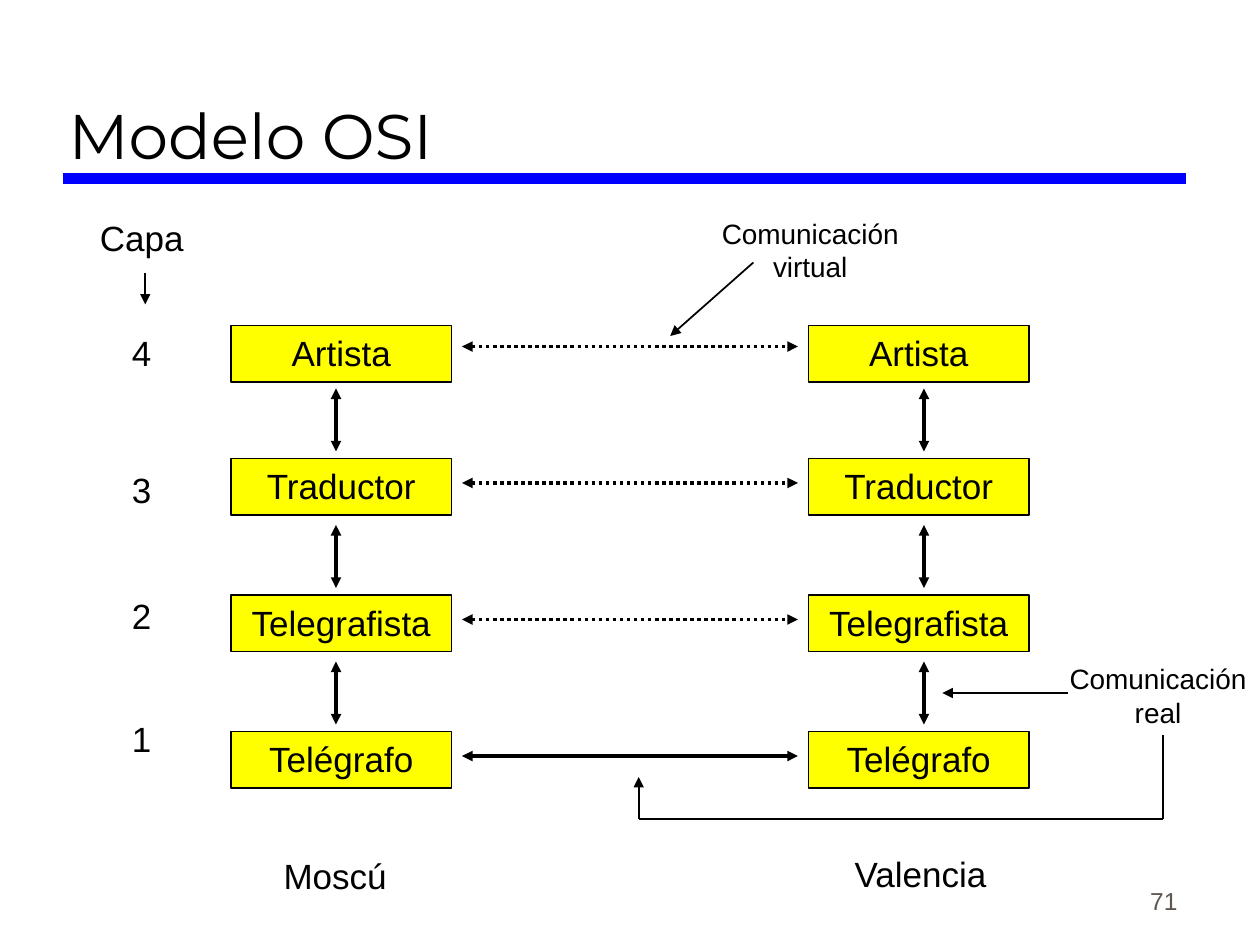
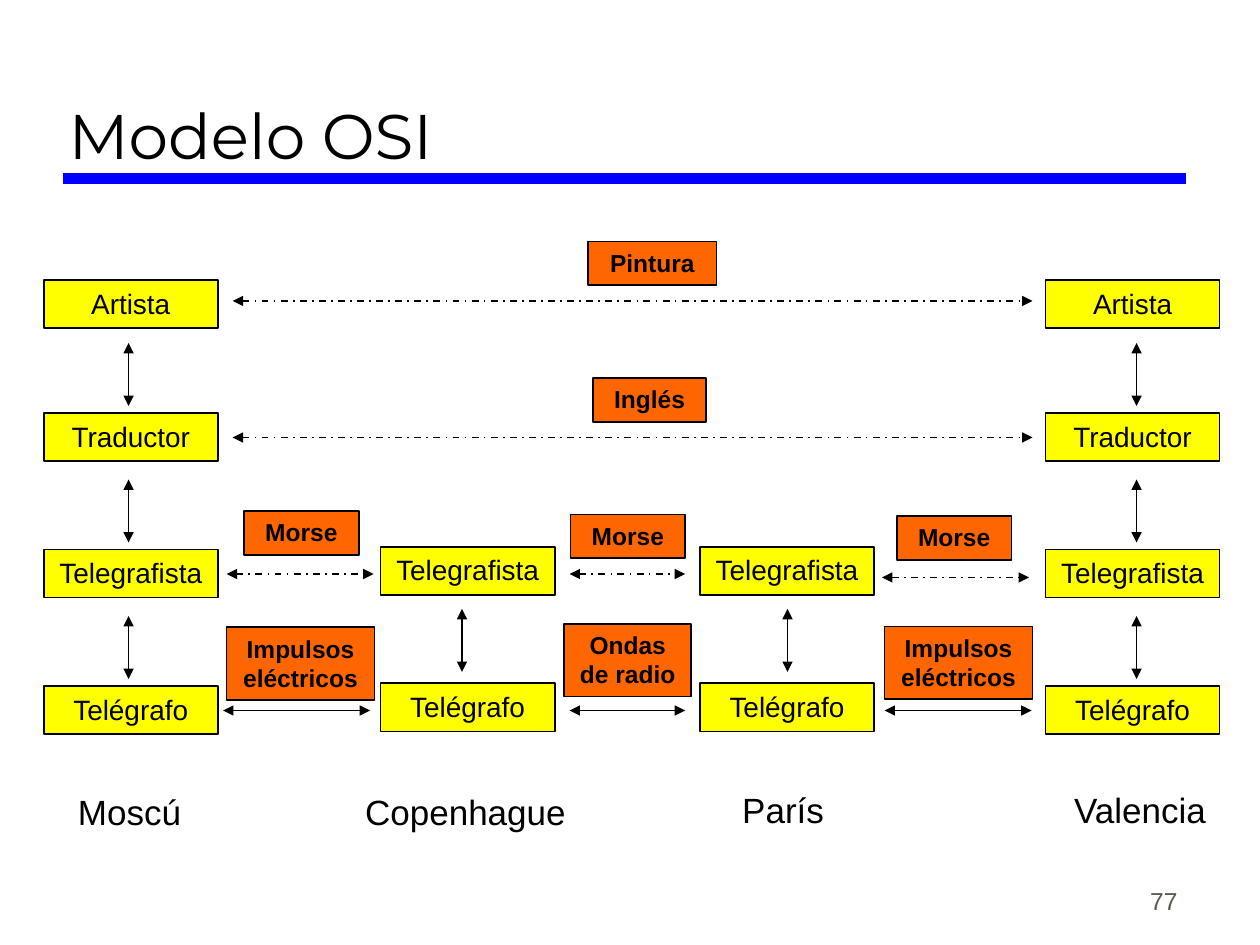
from lxml.etree import SubElement
from pptx import Presentation
from pptx.dml.color import RGBColor
from pptx.enum.dml import MSO_LINE as Dash
from pptx.enum.shapes import MSO_CONNECTOR as Connector, MSO_SHAPE as Shape
from pptx.enum.text import MSO_ANCHOR as Anchor, PP_ALIGN as Align
from pptx.oxml.ns import qn
from pptx.util import Pt

rgb = RGBColor.from_string
BLACK, BLUE, GREY = "000000", "0000FF", "5E574E"
YELLOW, ORANGE = "FFFF00", "FF6600"
LAYERS = ["Artista", "Traductor", "Telegrafista", "Telégrafo"]
LAYER_STEP = 78
BOX_RISE = [12, 14, 14, 14]  # how far each box starts above its link


def label(slide, text, left, top, width, height, size, fill=None, bold=False, color=BLACK):
    """Centred text, boxed when a fill is given."""
    place = Pt(left), Pt(top), Pt(width), Pt(height)
    if fill:
        item = slide.shapes.add_shape(Shape.RECTANGLE, *place)
        item.shadow.inherit = False
        item.fill.solid()
        item.fill.fore_color.rgb = rgb(fill)
        item.line.color.rgb = rgb(BLACK)
        item.line.width = Pt(1)
    else:
        item = slide.shapes.add_textbox(*place)
    frame = item.text_frame
    frame.text = text
    frame.word_wrap = bool(fill)
    frame.vertical_anchor = Anchor.TOP
    for paragraph in frame.paragraphs:
        paragraph.alignment = Align.CENTER
        font = paragraph.runs[0].font
        font.name, font.size, font.bold = "Arial", Pt(size), bold
        font.color.rgb = rgb(color)
    return item


def link(slide, x1, y1, x2, y2, width=1, ends=("headEnd", "tailEnd"), dash=None, color=BLACK):
    """Straight line with a triangle at each of the given ends."""
    line = slide.shapes.add_connector(Connector.STRAIGHT, Pt(x1), Pt(y1), Pt(x2), Pt(y2))
    line.line.color.rgb = rgb(color)
    line.line.width = Pt(width)
    if dash:
        line.line.dash_style = dash
    properties = line._element.spPr
    for end in ends:
        SubElement(properties.find(qn("a:ln")), qn("a:" + end), type="triangle")
    SubElement(properties, qn("a:effectLst"))


deck = Presentation()
deck.slide_width, deck.slide_height = Pt(720), Pt(540)

# Shared frame: title, blue rule, page number
slides = []
for page in ["71", "77"]:
    slide = deck.slides.add_slide(deck.slide_layouts[5])
    slides.append(slide)
    link(slide, 36, 102, 678, 102, 6, (), color=BLUE)
    number = label(slide, page, 530, 490.5, 150, 36, 14, color=GREY)
    number.text_frame.vertical_anchor = Anchor.BOTTOM
    number.text_frame.paragraphs[0].alignment = Align.RIGHT

    title = slide.shapes.title
    title.left, title.top, title.width, title.height = Pt(32), Pt(12), Pt(646), Pt(90)
    title.text_frame.text = "Modelo OSI"
    title.text_frame.vertical_anchor = Anchor.BOTTOM
    heading = title.text_frame.paragraphs[0]
    heading.alignment = Align.LEFT
    font = heading.runs[0].font
    font.name, font.size = "Montserrat", Pt(36)
    font.color.rgb = rgb(BLACK)
direct, relayed = slides

# The two end stacks: slide, first link height, box size, text size, line width, (box, arrow) lefts
stacks = [
    (direct, 198, 126, 32.4, 20, 2, [(132, 192), (462, 528)]),
    (relayed, 172, 99.5, 27.5, 16, 1, [(25, 73.5), (597.5, 649.5)]),
]
for slide, first, width, height, size, weight, cities in stacks:
    for box_left, arrow_x in cities:
        for i, layer in enumerate(LAYERS):
            y = first + i * LAYER_STEP
            label(slide, layer, box_left, y - BOX_RISE[i], width, height, size, YELLOW)
            if i < 3:
                link(slide, arrow_x, y + 24, arrow_x, y + 60, weight)

# Direct slide: layer numbers and links between equal layers
label(direct, "Capa", 46, 120, 70, 31, 20)
link(direct, 83, 156, 83, 174, ends=["tailEnd"])
for i, top in enumerate([186, 264, 336, 406.5]):
    label(direct, str(4 - i), 66, top, 30, 31, 20)
    y = 198 + i * LAYER_STEP
    link(direct, 264, y, 456, y, 2, dash=Dash.ROUND_DOT if i < 3 else None)

# Direct slide: callouts and cities
label(direct, "Comunicación\nvirtual", 403, 120, 120, 46, 16)
link(direct, 430.5, 150, 383, 192, ends=["tailEnd"])
label(direct, "Comunicación\nreal", 603.5, 374.5, 116.5, 46, 16)
link(direct, 610.5, 396, 538.5, 396, ends=["tailEnd"])
link(direct, 664.5, 420, 664.5, 468, ends=())
link(direct, 664.5, 468, 365, 468, ends=())
link(direct, 365, 468, 365, 444, ends=["tailEnd"])
label(direct, "Moscú", 146.5, 484.5, 90, 31, 20)
label(direct, "Valencia", 476, 483.5, 100, 31, 20)

# Relayed slide: the two intermediate cities
for box_left, arrow_x in [(217.5, 264), (400, 450)]:
    label(relayed, LAYERS[2], box_left, 312.5, 99.5, 27.5, 16, YELLOW)
    label(relayed, LAYERS[3], box_left, 390.5, 99.5, 27.5, 16, YELLOW)
    link(relayed, arrow_x, 348, arrow_x, 384)

# Relayed slide: links between equal layers (start, end, height, dash)
for start, end, y, dash in [
    (133, 590, 172, Dash.DASH_DOT),
    (133, 590, 250, Dash.DASH_DOT),
    (129.5, 213.5, 328, Dash.DASH_DOT),
    (325.5, 391.5, 328, Dash.DASH_DOT),
    (504, 588, 330, Dash.DASH_DOT),
    (127.5, 211.5, 406, None),
    (325.5, 391.5, 406, None),
    (505.5, 589.5, 406, None),
]:
    link(relayed, start, y, end, y, dash=dash)

# Relayed slide: what travels over each link
for medium, left, top, width, height in [
    ("Pintura", 336, 138, 73.5, 25),
    ("Inglés", 339, 216, 64.5, 25),
    ("Morse", 139.5, 292, 65.5, 25),
    ("Morse", 326, 294, 65.5, 25),
    ("Morse", 512.5, 295, 65.5, 25),
    ("Impulsos\neléctricos", 129.5, 358.5, 84.5, 41.5),
    ("Ondas de radio", 322.5, 356.5, 72.5, 41.5),
    ("Impulsos\neléctricos", 505.5, 358, 84.5, 41.5),
]:
    label(relayed, medium, left, top, width, height, 14, ORANGE, bold=True)

# Relayed slide: city names
for city, left, top, width in [
    ("Moscú", 29, 448, 90),
    ("Copenhague", 196, 448, 140),
    ("París", 412.5, 447, 70),
    ("Valencia", 601.5, 447, 100),
]:
    label(relayed, city, left, top, width, 31, 20)

deck.save("out.pptx")
